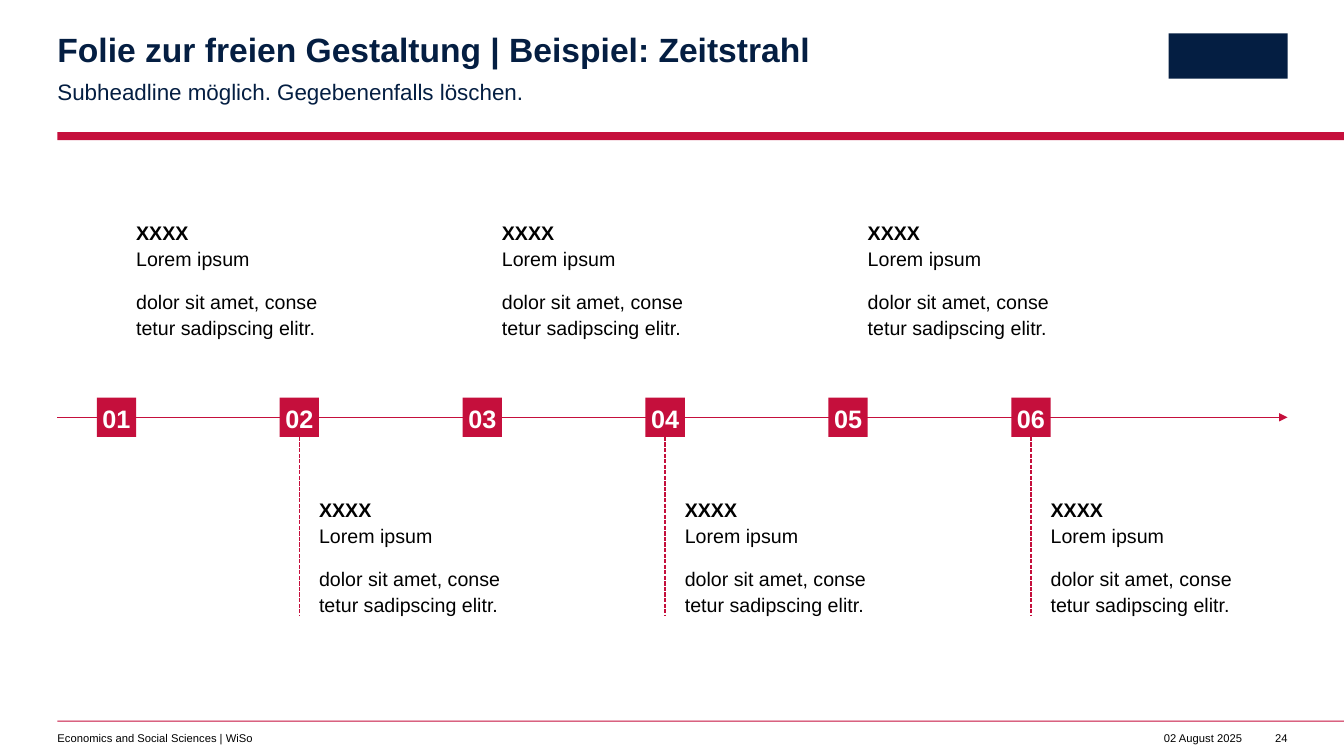
from lxml.etree import SubElement
from pptx import Presentation
from pptx.dml.color import RGBColor
from pptx.enum.dml import MSO_LINE
from pptx.enum.shapes import MSO_CONNECTOR, MSO_SHAPE
from pptx.enum.text import MSO_ANCHOR, PP_ALIGN
from pptx.oxml.ns import qn
from pptx.util import Inches, Pt

RED, NAVY, BLACK, WHITE = "C50F3C", "041E42", "000000", "FFFFFF"
LEFT, RIGHT, WIDE = 0.57, 12.77, 13.33
FIRST, PITCH, SIDE = 0.96, 9.07 / 5, 0.39
AXIS, TOP, LOW = 4.14, 2.17, 4.92
DROP = 1.77

# Each paragraph is a list of lines: (text, bold)
STEP = [
    [("XXXX", True), ("Lorem ipsum", False)],
    [("dolor sit amet, conse", False), ("tetur sadipscing elitr.", False)],
]


def color(code):
    return RGBColor.from_string(code)


# Text
def fill_text(shape, paras, size, tone, align=PP_ALIGN.LEFT,
              anchor=MSO_ANCHOR.TOP, space=1.0, after=0):
    frame = shape.text_frame
    frame.word_wrap = True
    frame.vertical_anchor = anchor
    frame.margin_left = frame.margin_right = 0
    frame.margin_top = frame.margin_bottom = 0
    for i, lines in enumerate(paras):
        para = frame.add_paragraph() if i else frame.paragraphs[0]
        para.alignment = align
        para.line_spacing = space
        para.space_before = Pt(0)
        para.space_after = Pt(after)
        for j, (text, bold) in enumerate(lines):
            if j:
                para.add_line_break()
            run = para.add_run()
            run.text = text
            run.font.name = "Arial"
            run.font.size = Pt(size)
            run.font.bold = bold
            run.font.color.rgb = color(tone)


def add_text(slide, x, y, w, h, paras, size, tone=BLACK, **style):
    box = slide.shapes.add_textbox(Inches(x), Inches(y), Inches(w), Inches(h))
    fill_text(box, paras, size, tone, **style)


# Shapes and lines
def add_block(slide, x, y, w, h, tone):
    block = slide.shapes.add_shape(
        MSO_SHAPE.RECTANGLE, Inches(x), Inches(y), Inches(w), Inches(h))
    block.shadow.inherit = False
    block.fill.solid()
    block.fill.fore_color.rgb = color(tone)
    block.line.fill.background()
    return block


def add_line(slide, x1, y1, x2, y2, dash=None, arrow=False):
    line = slide.shapes.add_connector(
        MSO_CONNECTOR.STRAIGHT, Inches(x1), Inches(y1), Inches(x2), Inches(y2))
    line.line.color.rgb = color(RED)
    line.line.width = Pt(1)
    if dash:
        line.line.dash_style = dash
    props = line._element.spPr
    if arrow:
        SubElement(props.find(qn("a:ln")), qn("a:tailEnd"), type="triangle")
    SubElement(props, qn("a:effectLst"))


# Header and footer
def add_head(slide):
    title = slide.shapes.title
    title.left, title.top = Inches(LEFT), Inches(0.33)
    title.width, title.height = Inches(7.49), Inches(0.36)
    fill_text(title, [[("Folie zur freien Gestaltung | Beispiel: Zeitstrahl", True)]],
              24, NAVY, space=0.9)
    add_text(slide, LEFT, 0.75, 7.1, 0.27,
             [[("Subheadline möglich. Gegebenenfalls löschen.", False)]],
             16, NAVY, space=1.1)
    add_block(slide, 11.59, 0.33, 1.18, 0.45, NAVY)
    add_block(slide, LEFT, 1.31, WIDE - LEFT, 0.08, RED)


def add_foot(slide):
    add_block(slide, LEFT, 7.15, WIDE - LEFT, 0.01, RED)
    add_text(slide, LEFT, 7.26, 5.98, 0.13,
             [[("Economics and Social Sciences | WiSo", False)]], 8)
    for end, w, text in ((12.32, 1.2, "02 August 2025"), (RIGHT, 0.3, "24")):
        add_text(slide, end - w, 7.26, w, 0.13, [[(text, False)]], 8,
                 align=PP_ALIGN.RIGHT)


# Timeline step: even numbers hang below the axis
def add_step(slide, index):
    x = FIRST + index * PITCH
    below = index % 2 == 1
    mark = add_block(slide, x, AXIS - SIDE / 2, SIDE, SIDE, RED)
    fill_text(mark, [[(f"{index + 1:02}", True)]], 18, WHITE, space=1.1,
              align=PP_ALIGN.CENTER, anchor=MSO_ANCHOR.MIDDLE)
    add_text(slide, x + SIDE, LOW if below else TOP, 1.95, 1.18, STEP, 14,
             space=1.1, after=12)
    if below:
        mid, base = x + SIDE / 2, AXIS + SIDE / 2
        add_line(slide, mid, base, mid, base + DROP, MSO_LINE.SQUARE_DOT)


def main():
    deck = Presentation()
    deck.slide_width, deck.slide_height = Inches(WIDE), Inches(7.5)
    slide = deck.slides.add_slide(deck.slide_layouts[5])
    add_head(slide)
    add_line(slide, LEFT, AXIS, RIGHT, AXIS, arrow=True)
    for index in range(6):
        add_step(slide, index)
    add_foot(slide)
    deck.save("out.pptx")


if __name__ == "__main__":
    main()
